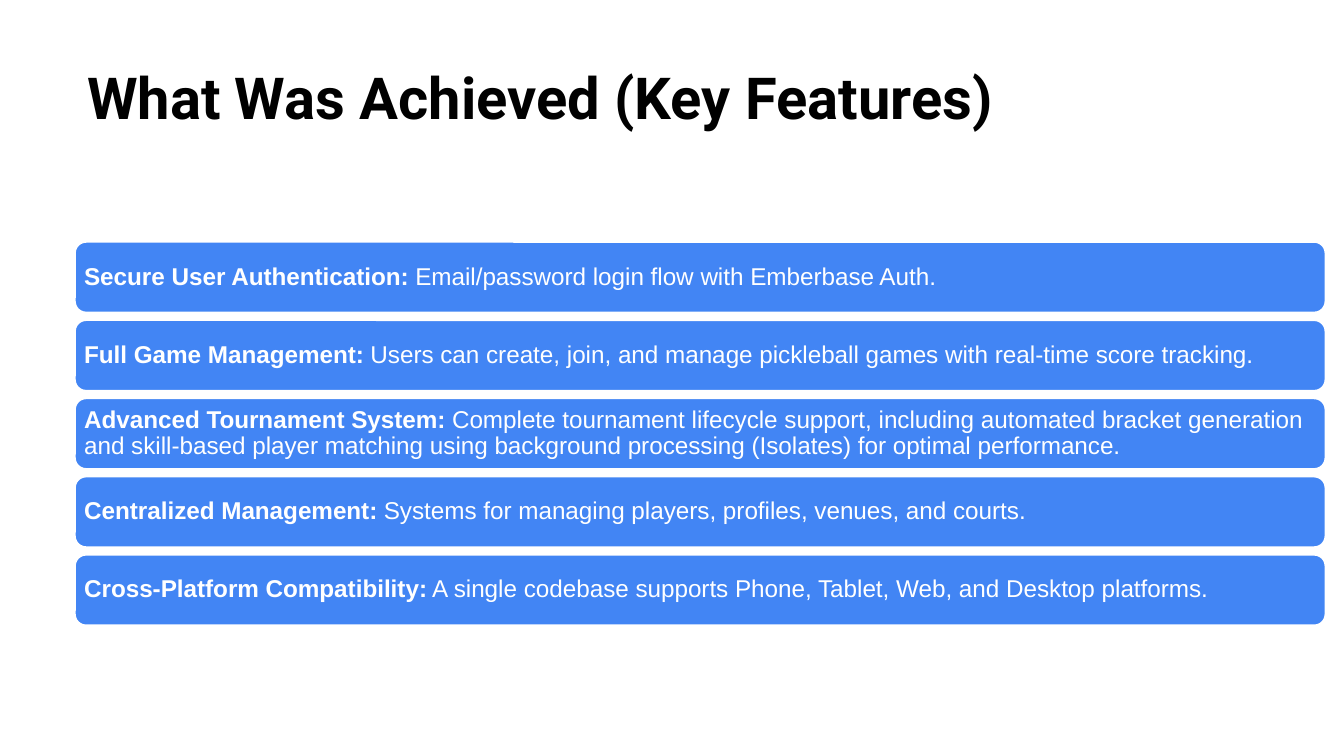
import dataclasses

import pptx
import pptx.dml.color
import pptx.enum.shapes
import pptx.enum.text
import pptx.shapes.autoshape
import pptx.slide
import pptx.text.text
import pptx.util

Pt = pptx.util.Pt

BLACK = pptx.dml.color.RGBColor(0x00, 0x00, 0x00)
WHITE = pptx.dml.color.RGBColor(0xFF, 0xFF, 0xFF)
BLUE = pptx.dml.color.RGBColor(0x42, 0x85, 0xF4)

LEFT, WIDTH = 39.6, 671
BAR_TOP, BAR_HEIGHT, BAR_PITCH = 129.1, 38.9, 41.9


@dataclasses.dataclass(frozen=True)
class Feature:
    name: str
    description: str


FEATURES = [
    Feature("Secure User Authentication:",
            " Email/password login flow with Emberbase Auth."),
    Feature("Full Game Management:",
            " Users can create, join, and manage pickleball games with "
            "real-time score tracking."),
    Feature("Advanced Tournament System:",
            " Complete tournament lifecycle support, including automated "
            "bracket generation and skill-based player matching using "
            "background processing (Isolates) for optimal performance."),
    Feature("Centralized Management:",
            " Systems for managing players, profiles, venues, and courts."),
    Feature("Cross-Platform Compatibility:",
            " A single codebase supports Phone, Tablet, Web, and Desktop "
            "platforms."),
]


def prepare_frame(shape: pptx.shapes.autoshape.Shape, inset: float,
                  anchor: pptx.enum.text.MSO_ANCHOR) -> pptx.text.text.TextFrame:
    frame = shape.text_frame
    frame.word_wrap = True
    frame.vertical_anchor = anchor
    frame.margin_left = frame.margin_right = Pt(inset)
    frame.margin_top = frame.margin_bottom = Pt(inset)
    frame.paragraphs[0].alignment = pptx.enum.text.PP_ALIGN.LEFT
    return frame


def add_run(paragraph: pptx.text.text._Paragraph, text: str, font_name: str,
            size: float, color: pptx.dml.color.RGBColor, bold: bool) -> None:
    run = paragraph.add_run()
    run.text = text
    run.font.name = font_name
    run.font.size = Pt(size)
    run.font.bold = bold
    run.font.color.rgb = color


def add_title(slide: pptx.slide.Slide, text: str) -> None:
    box = slide.shapes.add_textbox(Pt(LEFT), Pt(25.9), Pt(WIDTH), Pt(86.4))
    frame = prepare_frame(box, 7.2, pptx.enum.text.MSO_ANCHOR.TOP)
    add_run(frame.paragraphs[0], text, "Roboto", 31, BLACK, True)


def add_feature_bar(slide: pptx.slide.Slide, feature: Feature, top: float) -> None:
    bar = slide.shapes.add_shape(
        pptx.enum.shapes.MSO_SHAPE.ROUNDED_RECTANGLE,
        Pt(LEFT), Pt(top), Pt(WIDTH), Pt(BAR_HEIGHT))
    bar.shadow.inherit = False
    bar.fill.solid()
    bar.fill.fore_color.rgb = BLUE
    bar.line.color.rgb = WHITE
    bar.line.width = Pt(2)

    frame = prepare_frame(bar, 3.6, pptx.enum.text.MSO_ANCHOR.MIDDLE)
    paragraph = frame.paragraphs[0]
    paragraph.line_spacing = 0.9
    add_run(paragraph, feature.name, "Arial", 13, WHITE, True)
    add_run(paragraph, feature.description, "Arial", 13, WHITE, False)


def main() -> None:
    presentation = pptx.Presentation()
    presentation.slide_width, presentation.slide_height = Pt(720), Pt(405)
    slide = presentation.slides.add_slide(presentation.slide_layouts[6])

    # Heading
    add_title(slide, "What Was Achieved (Key Features)")

    # Stack of feature bars
    for index, feature in enumerate(FEATURES):
        add_feature_bar(slide, feature, BAR_TOP + index * BAR_PITCH)

    presentation.save("out.pptx")


if __name__ == "__main__":
    main()
